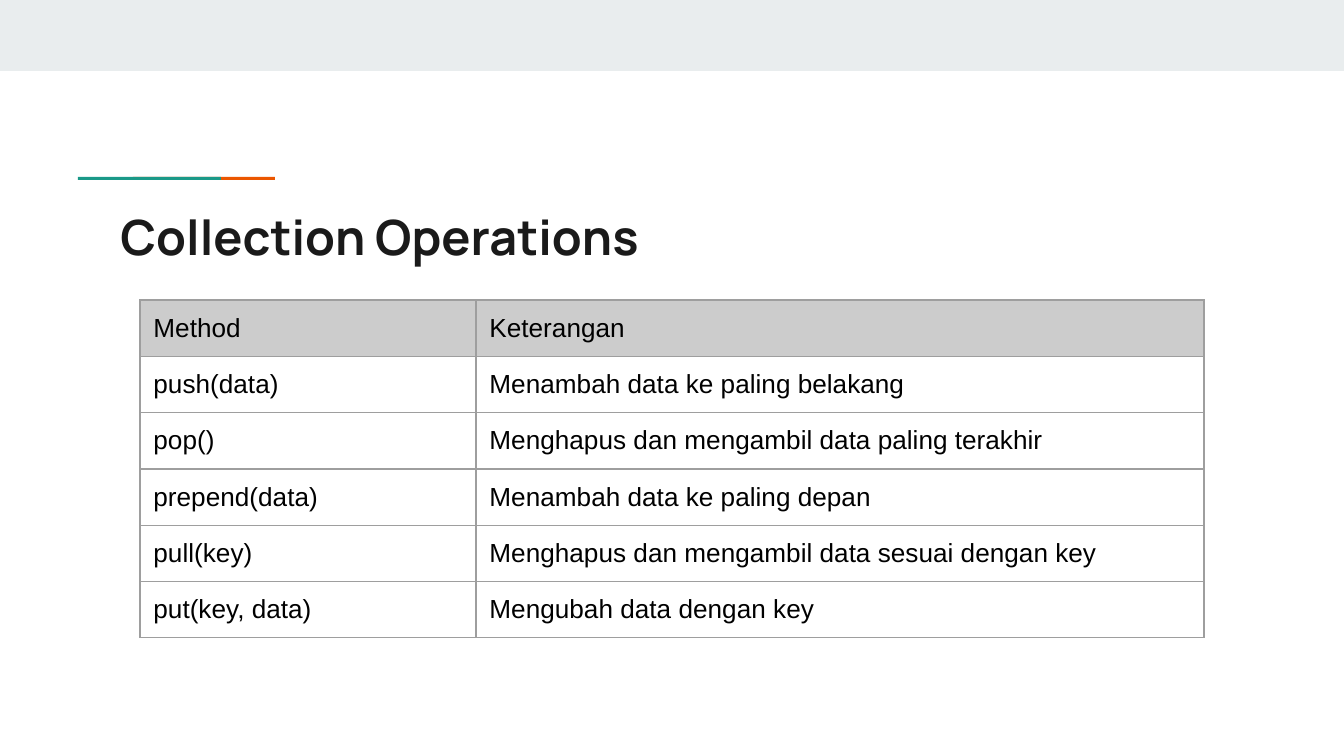
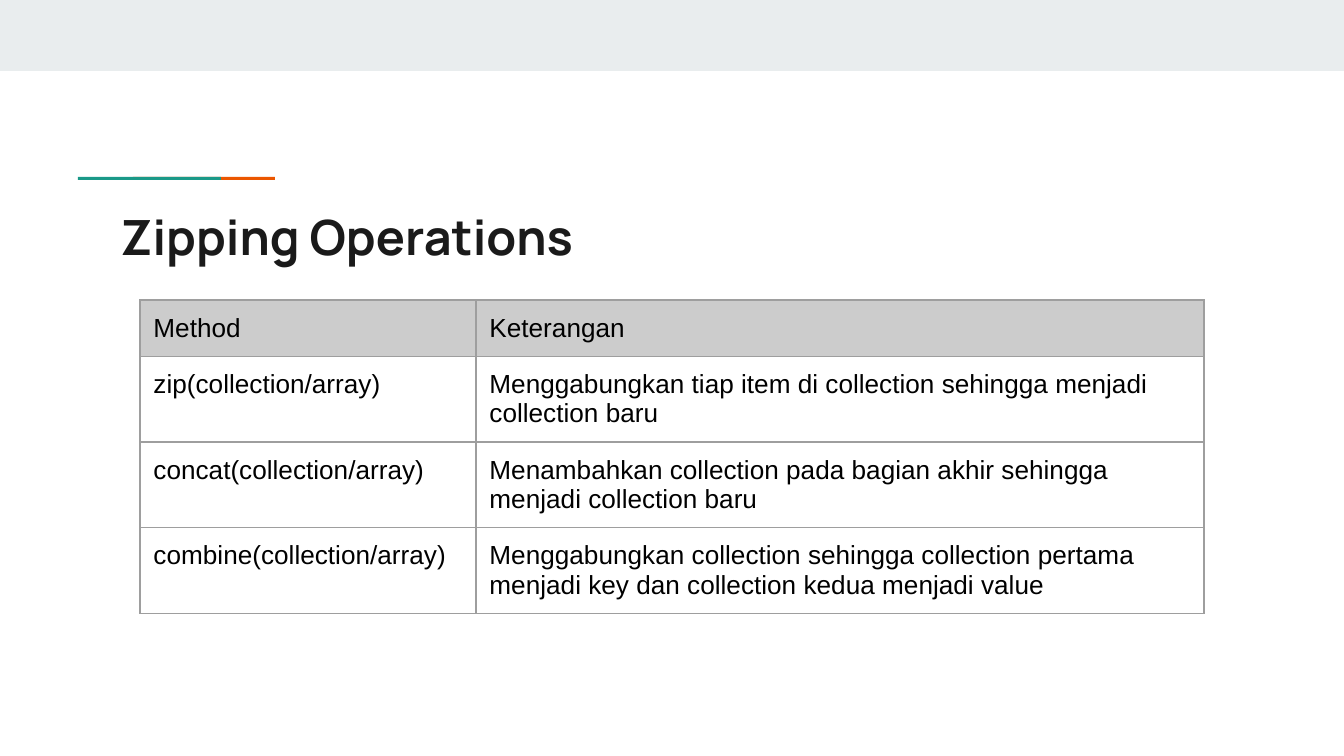
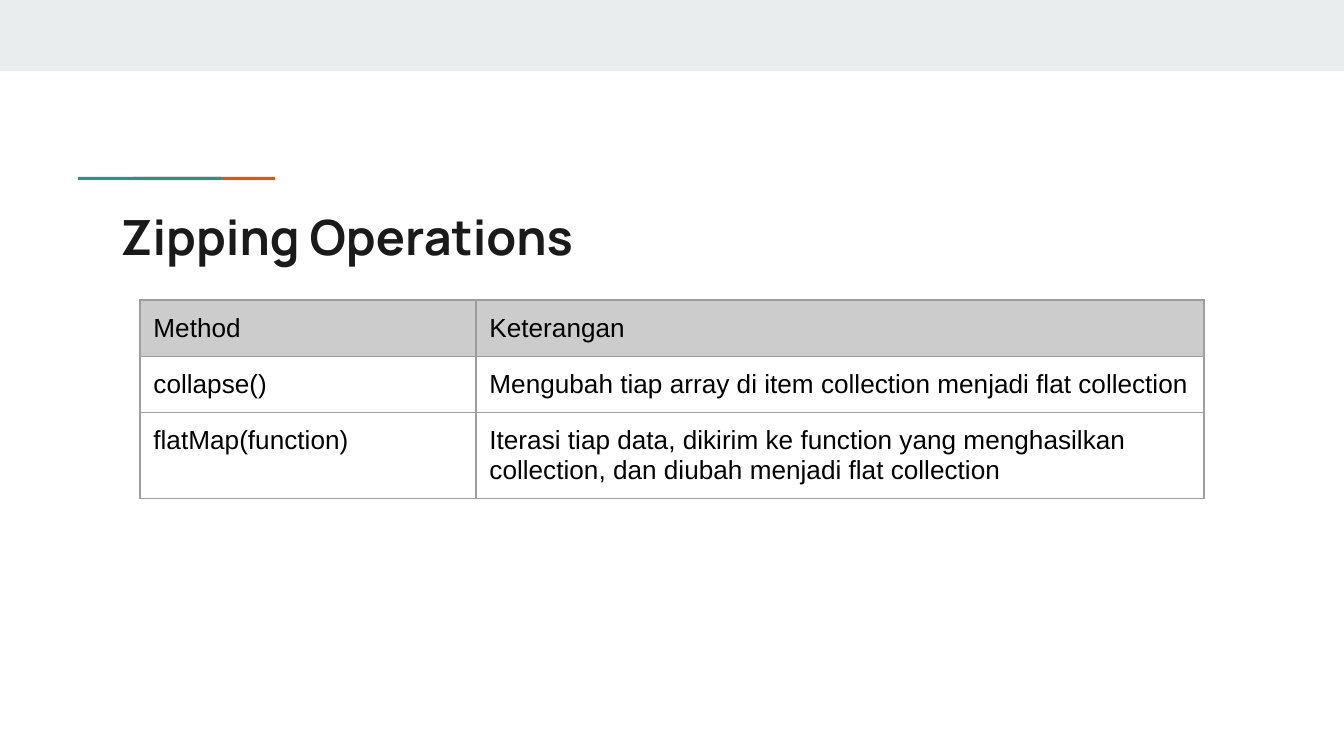
from lxml.etree import SubElement
from pptx import Presentation
from pptx.dml.color import RGBColor
from pptx.enum.shapes import MSO_SHAPE
from pptx.enum.text import MSO_ANCHOR, MSO_AUTO_SIZE, PP_ALIGN
from pptx.oxml.ns import qn
from pptx.util import Emu, Inches, Pt

SLIDE_WIDTH, SLIDE_HEIGHT = 1344, 756
EMU_PER_PX = 9144000 / SLIDE_WIDTH

BAND = RGBColor(0xE9, 0xED, 0xEE)
TEAL = RGBColor(0x1A, 0x99, 0x88)
ORANGE = RGBColor(0xEB, 0x56, 0x00)
TITLE_TEXT = RGBColor(0x1A, 0x1A, 0x1A)
TABLE_TEXT = RGBColor(0x00, 0x00, 0x00)
HEADER_FILL = RGBColor(0xCC, 0xCC, 0xCC)
BORDER = RGBColor(0x9E, 0x9E, 0x9E)

TITLE_FONT, TABLE_FONT = "Manrope", "Arial"
INSET = Inches(0.1)
TABLE_LEFT, TABLE_TOP = 140, 300
COLUMN_WIDTHS = [336, 728]
ROW_HEIGHT = 56

HEADER = ("Method", "Keterangan")
SLIDES = [
    ("Collection Operations", [
        ("push(data)", "Menambah data ke paling belakang"),
        ("pop()", "Menghapus dan mengambil data paling terakhir"),
        ("prepend(data)", "Menambah data ke paling depan"),
        ("pull(key)", "Menghapus dan mengambil data sesuai dengan key"),
        ("put(key, data)", "Mengubah data dengan key"),
    ]),
    ("Zipping Operations", [
        ("zip(collection/array)",
         "Menggabungkan tiap item di collection sehingga menjadi collection baru"),
        ("concat(collection/array)",
         "Menambahkan collection pada bagian akhir sehingga menjadi collection baru"),
        ("combine(collection/array)",
         "Menggabungkan collection sehingga collection pertama menjadi key "
         "dan collection kedua menjadi value"),
    ]),
    ("Zipping Operations", [
        ("collapse()", "Mengubah tiap array di item collection menjadi flat collection"),
        ("flatMap(function)",
         "Iterasi tiap data, dikirim ke function yang menghasilkan collection, "
         "dan diubah menjadi flat collection"),
    ]),
]


def px(length):
    return Emu(round(length * EMU_PER_PX))


def add_borders(cell):
    properties = cell._tc.get_or_add_tcPr()
    for side in ("a:lnL", "a:lnR", "a:lnT", "a:lnB"):
        line = SubElement(properties, qn(side), w=str(Pt(0.75)))
        fill = SubElement(line, qn("a:solidFill"))
        SubElement(fill, qn("a:srgbClr"), val=str(BORDER))


presentation = Presentation()
presentation.slide_width = px(SLIDE_WIDTH)
presentation.slide_height = px(SLIDE_HEIGHT)

layout = presentation.slide_layouts.get_by_name("Title Only")
layout_title = layout.placeholders[0]
layout_title.left, layout_title.top = px(107), px(194)
layout_title.width, layout_title.height = px(1130), px(79)

slides = [presentation.slides.add_slide(layout) for _ in SLIDES]

# Layouts cannot add shapes themselves, so the decoration is moved there.
# The teal bar overlaps the left part of the orange one.
for left, top, width, height, color in [
    (0, 0, SLIDE_WIDTH, 71, BAND),
    (133, 177, 142, 3, ORANGE),
    (78, 177, 143, 3, TEAL),
]:
    shape = slides[0].shapes.add_shape(
        MSO_SHAPE.RECTANGLE, px(left), px(top), px(width), px(height))
    shape.shadow.inherit = False
    shape.fill.solid()
    shape.fill.fore_color.rgb = color
    shape.line.fill.background()
    layout.shapes.element.append(shape.element)

for slide, (title, methods) in zip(slides, SLIDES):
    frame = slide.shapes.title.text_frame
    frame.text = title
    frame.word_wrap = True
    frame.auto_size = MSO_AUTO_SIZE.NONE
    frame.vertical_anchor = MSO_ANCHOR.TOP
    frame.margin_left = frame.margin_right = INSET
    frame.margin_top = frame.margin_bottom = INSET
    paragraph = frame.paragraphs[0]
    paragraph.alignment = PP_ALIGN.LEFT
    paragraph.font.name = TITLE_FONT
    paragraph.font.size = Pt(26)
    paragraph.font.bold = True
    paragraph.font.color.rgb = TITLE_TEXT

    rows = [HEADER, *methods]
    table = slide.shapes.add_table(
        len(rows), len(HEADER), px(TABLE_LEFT), px(TABLE_TOP),
        px(sum(COLUMN_WIDTHS)), px(ROW_HEIGHT * len(rows))).table
    table.first_row = table.horz_banding = False
    for column, width in zip(table.columns, COLUMN_WIDTHS):
        column.width = px(width)

    for row_index, row in enumerate(rows):
        for column_index, text in enumerate(row):
            cell = table.cell(row_index, column_index)
            cell.text = text
            cell.margin_left = cell.margin_right = INSET
            cell.margin_top = cell.margin_bottom = INSET
            add_borders(cell)
            if row_index == 0:
                cell.fill.solid()
                cell.fill.fore_color.rgb = HEADER_FILL
            else:
                cell.fill.background()
            paragraph = cell.text_frame.paragraphs[0]
            paragraph.font.name = TABLE_FONT
            paragraph.font.size = Pt(14)
            paragraph.font.color.rgb = TABLE_TEXT

presentation.save("out.pptx")
